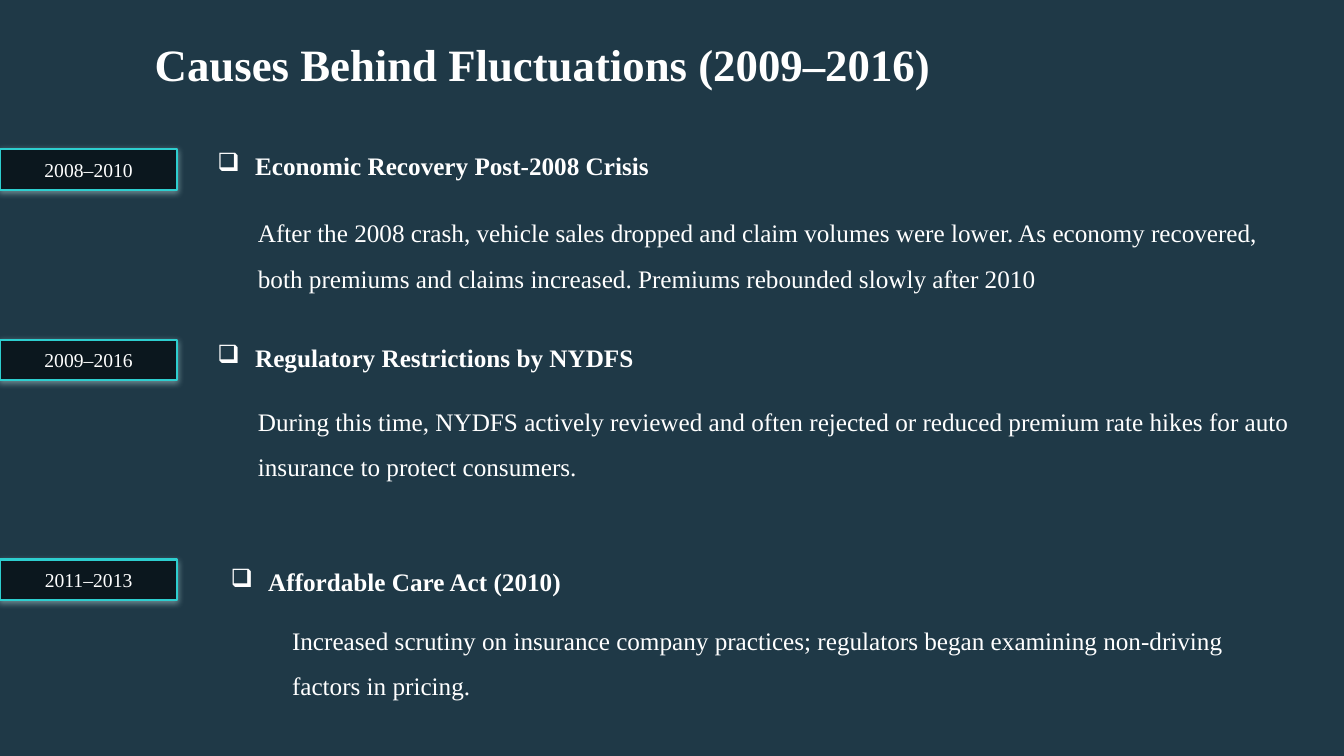
from lxml import etree
from pptx import Presentation
from pptx import util as u
from pptx.dml import color
from pptx.enum import shapes, text
from pptx.oxml import ns

COLORS = {
    "background": "1F3947",
    "tag": "0B171E",
    "border": "2DCECF",
    "glow": "B8DDDD",
    "text": "FFFFFF",
}

CAUSES = [
    {
        "period": "2008–2010",
        "tag_top": 3.76,
        "heading": "Economic Recovery Post-2008 Crisis",
        "heading_at": (5.23, 3.66),
        "detail": "After the 2008 crash, vehicle sales dropped and claim volumes were lower. "
                  "As economy recovered, both premiums and claims increased. "
                  "Premiums rebounded slowly after 2010",
        "detail_at": (6.25, 4.98, 26.64),
    },
    {
        "period": "2009–2016",
        "tag_top": 8.56,
        "heading": "Regulatory Restrictions by NYDFS",
        "heading_at": (5.23, 8.51),
        "detail": "During this time, NYDFS actively reviewed and often rejected or reduced "
                  "premium rate hikes for auto insurance to protect consumers.",
        "detail_at": (6.25, 9.73, 27.05),
    },
    {
        "period": "2011–2013",
        "tag_top": 14.1,
        "heading": "Affordable Care Act (2010)",
        "heading_at": (5.56, 14.15),
        "detail": "Increased scrutiny on insurance company practices; regulators began "
                  "examining non-driving factors in pricing.",
        "detail_at": (7.11, 15.24, 25.81),
    },
]


def rgb(name):
    return color.RGBColor.from_string(COLORS[name])


def assign(target, values):
    for name, value in values.items():
        setattr(target, name, value)


class CauseSlide:
    font = "Times New Roman"
    hanging = u.Cm(0.95)
    inset = u.Cm(0.25)

    def __init__(self, deck):
        self.page = deck.slides.add_slide(deck.slide_layouts[6])
        fill = self.page.background.fill
        fill.solid()
        fill.fore_color.rgb = rgb("background")

    def add_words(self, frame, words, size, bold=False, **layout):
        para = frame.paragraphs[0]
        assign(para, layout)
        span = para.add_run()
        span.text = words
        assign(span.font, {"name": self.font, "size": u.Pt(size), "bold": bold})
        span.font.color.rgb = rgb("text")
        return para

    def textbox(self, at, words, size, **style):
        box = self.page.shapes.add_textbox(*map(u.Cm, at))
        assign(box.text_frame, {"word_wrap": True, "auto_size": text.MSO_AUTO_SIZE.SHAPE_TO_FIT_TEXT})
        return self.add_words(box.text_frame, words, size, **style)

    def title(self, words):
        self.textbox((0.33, 0.79, 26.7, 1.63), words, 32, bold=True, alignment=text.PP_ALIGN.CENTER)

    def heading(self, at, words):
        para = self.textbox((*at, 24.89, 1.02), words, 18, bold=True)
        properties = para._p.get_or_add_pPr()
        properties.set("marL", str(self.hanging))
        properties.set("indent", str(-self.hanging))
        etree.SubElement(properties, ns.qn("a:buChar"), char="❑")

    def detail(self, at, words):
        left, top, width = at
        self.textbox((left, top, width, 2.44), words, 18, line_spacing=1.5)

    def tag(self, top, words):
        box = self.page.shapes.add_shape(
            shapes.MSO_SHAPE.RECTANGLE, 0, u.Cm(top), u.Cm(4.47), u.Cm(1.02))
        box.fill.solid()
        box.fill.fore_color.rgb = rgb("tag")
        box.line.color.rgb = rgb("border")
        box.line.width = u.Pt(1.5)
        self.glow(box)
        frame = box.text_frame
        assign(frame, {f"margin_{side}": self.inset for side in ("left", "top", "right", "bottom")})
        assign(frame, {"word_wrap": True, "vertical_anchor": text.MSO_ANCHOR.MIDDLE})
        self.add_words(frame, words, 14, alignment=text.PP_ALIGN.CENTER)

    def glow(self, box):
        box.shadow.inherit = False
        effects = box._element.spPr.find(ns.qn("a:effectLst"))
        shadow = etree.SubElement(
            effects, ns.qn("a:outerShdw"), blurRad=str(u.Pt(4.5)), dist=str(u.Pt(1.5)),
            dir="5400000", algn="ctr", rotWithShape="0")
        tint = etree.SubElement(shadow, ns.qn("a:srgbClr"), val=COLORS["glow"])
        etree.SubElement(tint, ns.qn("a:alpha"), val="50000")


def main():
    deck = Presentation()
    assign(deck, {"slide_width": u.Cm(33.87), "slide_height": u.Cm(19.05)})
    slide = CauseSlide(deck)
    slide.title("Causes Behind Fluctuations (2009–2016)")
    for cause in CAUSES:
        slide.tag(cause["tag_top"], cause["period"])
        slide.heading(cause["heading_at"], cause["heading"])
        slide.detail(cause["detail_at"], cause["detail"])
    deck.save("out.pptx")


if __name__ == "__main__":
    main()
